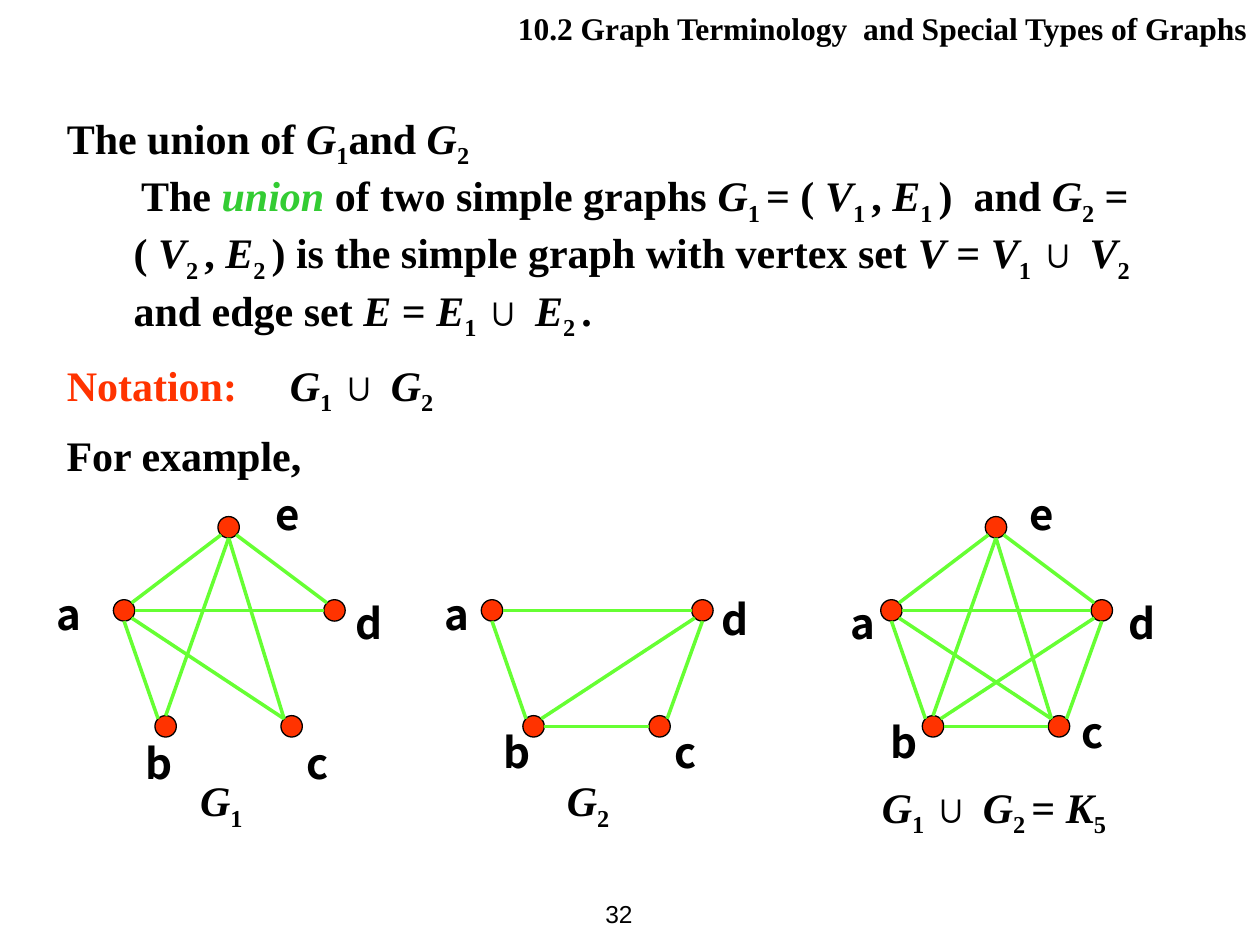
from math import cos, radians, sin

from pptx import Presentation
from pptx import util as u
from pptx.dml.color import RGBColor
from pptx.enum import shapes, text
from pptx.oxml.ns import qn

BLACK, RED, GREEN, EDGE = "000000", "FF3300", "33CC33", "66FF33"
SERIF, SANS, LABEL = "Times New Roman", "Arial", "Noto Sans CJK SC"
LEFT, RIGHT = text.PP_ALIGN.LEFT, text.PP_ALIGN.RIGHT

NODE = 0.17
GRAPH_TOP = 4.1
NODES = {"a": (0, 0.66), "b": (0.33, 1.58), "c": (1.33, 1.58),
         "d": (1.67, 0.66), "e": (0.83, 0)}
# Angles, clockwise from the right, at which an edge leaves its two nodes
EDGES = {"ab": (90, 225), "bc": (0, 180), "cd": (315, 90), "de": (225, 45),
         "ae": (315, 135), "eb": (90, 270), "ec": (90, 225), "ad": (0, 180),
         "ac": (45, 225), "bd": (315, 135)}


def color(hex_string):
    return RGBColor.from_string(hex_string)


def var(name, index, gap=""):
    """Runs of an italic variable with a subscript index."""
    return [(name, "i"), (index + gap, "sub")]


class SlideBuilder:
    def __init__(self, slide, size=24):
        self.s = slide
        self.size = size

    def place(self, sp, x, y, w, h):
        sp.left, sp.top, sp.width, sp.height = map(u.Inches, (x, y, w, h))
        tf = sp.text_frame
        tf.word_wrap = True
        tf.auto_size = text.MSO_AUTO_SIZE.NONE
        tf.vertical_anchor = text.MSO_ANCHOR.TOP
        return tf

    def runs(self, p, parts, font=SERIF, size=None, bold=True):
        """Add (text, style, colour) parts; style is "", "i" or "sub"."""
        for content, style, *tint in parts:
            r = p.add_run()
            r.text = content
            r.font.name = font
            r.font.size = u.Pt(size or self.size)
            r.font.bold = bold
            r.font.italic = style == "i"
            r.font.color.rgb = color(tint[0] if tint else BLACK)
            if style == "sub":
                r.font._element.set("baseline", "-25000")

    def title(self, content, box, size):
        tf = self.place(self.s.shapes.title, *box)
        p = tf.paragraphs[0]
        p.alignment = RIGHT
        self.runs(p, [(content, "")], size=size)

    def body(self, paragraphs, box):
        """Fill the body with (margin, indent, space before, parts)."""
        tf = self.place(self.s.placeholders[1], *box)
        for i, (margin, indent, before, parts) in enumerate(paragraphs):
            p = tf.add_paragraph() if i else tf.paragraphs[0]
            p.space_before = u.Pt(before)
            pPr = p._p.get_or_add_pPr()
            pPr.set("marL", str(u.Inches(margin)))
            pPr.set("indent", str(u.Inches(indent)))
            pPr.append(pPr.makeelement(qn("a:buNone"), {}))
            self.runs(p, parts)

    def text(self, parts, box, align=LEFT, **style):
        sp = self.s.shapes.add_textbox(0, 0, 0, 0)
        tf = self.place(sp, *box)
        p = tf.paragraphs[0]
        p.alignment = align
        self.runs(p, parts, **style)
        return tf

    def node(self, group, x, y):
        sp = group.shapes.add_shape(
            shapes.MSO_SHAPE.FLOWCHART_CONNECTOR,
            *map(u.Inches, (x, y, NODE, NODE)))
        sp.shadow.inherit = False
        sp.fill.solid()
        sp.fill.fore_color.rgb = color(RED)
        sp.line.color.rgb = color(BLACK)
        sp.line.width = u.Pt(0.75)

    def edge(self, group, start, end):
        line = group.shapes.add_connector(
            shapes.MSO_CONNECTOR.STRAIGHT, *map(u.Inches, start + end))
        line.line.color.rgb = color(EDGE)
        line.line.width = u.Pt(2)
        spPr = line._element.spPr
        spPr.append(spPr.makeelement(qn("a:effectLst"), {}))

    def graph(self, left, edges, labels):
        """Draw the nodes named in labels, the edges and the letters."""
        def rim(name, angle):
            x, y = NODES[name]
            r = NODE / 2
            return (left + x + r + r * cos(radians(angle)),
                    GRAPH_TOP + y + r + r * sin(radians(angle)))

        group = self.s.shapes.add_group_shape()
        for name in labels:
            x, y = NODES[name]
            self.node(group, left + x, GRAPH_TOP + y)
        for pair in edges:
            ends = zip(pair, EDGES[pair])
            self.edge(group, *(rim(name, angle) for name, angle in ends))
        for name, (x, y) in labels.items():
            self.text([(name, "")], (x, y, 0.39, 0.51), RIGHT, font=LABEL)


def main():
    prs = Presentation()
    prs.slide_width, prs.slide_height = u.Inches(10), u.Inches(7.5)
    b = SlideBuilder(prs.slides.add_slide(prs.slide_layouts[1]))

    b.title("10.2 Graph Terminology  and Special Types of Graphs",
            (3.98, 0.02, 6.02, 0.4), 18)

    heading = [("The union of ", ""), *var("G", "1"), ("and", ""),
               *var(" G", "2")]
    definition = [
        ("The ", ""), ("union", "i", GREEN), (" of two simple graphs ", ""),
        *var("G", "1", " "), ("= ( ", ""), *var("V", "1", " "), (",", ""),
        *var(" E", "1", " "), (")  and ", ""), *var("G", "2"),
        (" = ( ", ""), *var("V", "2", " "), (",", ""), *var(" E", "2", " "),
        (") is the simple graph with vertex set ", ""), ("V", "i"),
        (" = ", ""), *var("V", "1", " "), ("∪ ", ""), *var("V", "2"),
        (" and edge set ", ""), ("E", "i"), (" = ", ""),
        *var("E", "1", " "), ("∪ ", ""), *var("E", "2", " "), (".", "")]
    notation = [("Notation:\t", "", RED), *var("G", "1", " "), ("∪ ", ""),
                *var("G", "2")]
    b.body([(0.53, -0.53, 0, heading),
            (0.53, 0.06, 0, definition),
            (1.77, -1.77, 10, notation)], (0.43, 0.84, 9.21, 2.26))
    b.text([("For example,", "")], (0.43, 3.36, 9.08, 0.5))

    b.graph(0.9, ["ab", "de", "ae", "eb", "ec", "ad", "ac"],
            {"a": (0.35, 4.62), "b": (1.06, 5.8), "c": (2.32, 5.8),
             "d": (2.72, 4.69), "e": (2.09, 3.83)})
    b.graph(3.82, ["ab", "bc", "cd", "ad", "bd"],
            {"a": (3.43, 4.62), "b": (3.9, 5.72), "c": (5.24, 5.72),
             "d": (5.63, 4.66)})
    b.graph(6.99, EDGES,
            {"a": (6.65, 4.69), "b": (6.97, 5.64), "c": (8.47, 5.56),
             "d": (8.86, 4.69), "e": (8.07, 3.83)})

    b.text(var("G", "1"), (1.49, 6.1, 0.71, 0.5))
    b.text(var("G", "2"), (4.4, 6.1, 0.71, 0.5))
    b.text([*var("G", "1", " "), ("∪ ", ""), *var("G", "2", " "),
            ("= ", ""), *var("K", "5")], (6.9, 6.15, 2.5, 0.57))

    number = b.text([("32", "")], (4.45, 7, 0.67, 0.5), RIGHT,
                    font=SANS, size=14, bold=False)
    number.vertical_anchor = text.MSO_ANCHOR.MIDDLE

    prs.save("out.pptx")


if __name__ == "__main__":
    main()
